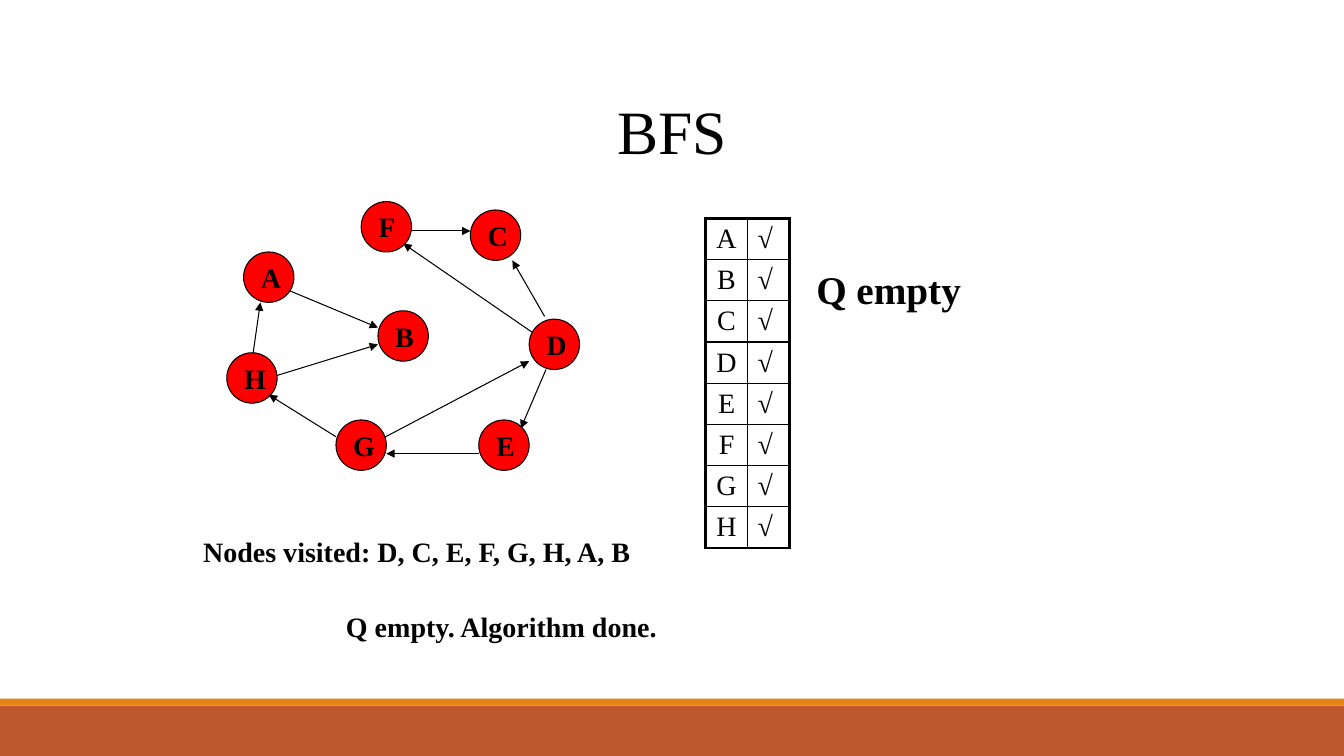
from lxml.etree import SubElement
from pptx import Presentation
from pptx.dml.color import RGBColor
from pptx.enum.shapes import MSO_CONNECTOR, MSO_SHAPE
from pptx.enum.text import MSO_ANCHOR, PP_ALIGN
from pptx.oxml import parse_xml
from pptx.oxml.ns import nsdecls, qn
from pptx.util import Pt


def color(hex_string):
    return RGBColor.from_string(hex_string)


def write(text_frame, text, size, bold=False, align=PP_ALIGN.LEFT):
    paragraph = text_frame.paragraphs[0]
    paragraph.alignment = align
    run = paragraph.add_run()
    run.text = text
    run.font.name = "Times New Roman"
    run.font.size = Pt(size)
    run.font.bold = bold
    run.font.color.rgb = color("000000")


presentation = Presentation()
presentation.slide_width = Pt(960)
presentation.slide_height = Pt(540)
slide = presentation.slides.add_slide(presentation.slide_layouts[6])
shapes = slide.shapes

# Footer bars
for top, height, fill in [(504, 36, "BD582C"), (499, 5, "E48312")]:
    bar = shapes.add_shape(MSO_SHAPE.RECTANGLE, Pt(0), Pt(top), Pt(960), Pt(height))
    bar.shadow.inherit = False
    bar.fill.solid()
    bar.fill.fore_color.rgb = color(fill)
    bar.line.fill.background()

# Graph edges: start x, start y, end x, end y
edges = [
    (384, 240, 288, 174),  # D to F
    (390, 264, 372, 306),  # D to E
    (192, 270, 270, 246),  # H to B
    (264, 318, 378, 258),  # G to D
    (180, 258, 186, 216),  # H to A
    (198, 204, 270, 234),  # A to B
    (389, 226, 366, 186),  # D to C
    (342, 324, 276, 324),  # E to G
    (240, 312, 192, 282),  # G to H
    (294, 165, 336, 165),  # F to C
]
for points in edges:
    edge = shapes.add_connector(MSO_CONNECTOR.STRAIGHT, *[Pt(value) for value in points])
    edge.line.color.rgb = color("000000")
    edge.line.width = Pt(0.75)
    SubElement(edge.line._get_or_add_ln(), qn("a:tailEnd"), type="triangle")
    SubElement(edge._element.spPr, qn("a:effectLst"))

# Graph nodes: left, top
nodes = {
    "A": (174, 180), "H": (162, 252), "B": (270, 222), "F": (258, 144),
    "E": (342, 300), "D": (378, 228), "C": (336, 150), "G": (240, 300),
}
for letter, (left, top) in nodes.items():
    node = shapes.add_shape(MSO_SHAPE.OVAL, Pt(left), Pt(top), Pt(36), Pt(36))
    node.shadow.inherit = False
    node.fill.solid()
    node.fill.fore_color.rgb = color("FF0000")
    node.line.color.rgb = color("000000")
    node.line.width = Pt(0.75)
    node.text_frame.word_wrap = False
    node.text_frame.vertical_anchor = MSO_ANCHOR.MIDDLE
    write(node.text_frame, letter, 20, bold=True)

# Title and captions
texts = [
    ("BFS", 174, 48, 612, 90, 44, False, PP_ALIGN.CENTER, MSO_ANCHOR.MIDDLE),
    ("Q empty. Algorithm done.", 240, 432, 558, 32, 20, True, PP_ALIGN.LEFT, MSO_ANCHOR.TOP),
    ("Q empty", 576, 186, 246, 41, 28, True, PP_ALIGN.LEFT, MSO_ANCHOR.TOP),
    ("Nodes visited: D, C, E, F, G, H, A, B", 138, 378, 354, 32, 20, True,
     PP_ALIGN.LEFT, MSO_ANCHOR.TOP),
]
for text, left, top, width, height, size, bold, align, anchor in texts:
    box = shapes.add_textbox(Pt(left), Pt(top), Pt(width), Pt(height))
    box.text_frame.word_wrap = True
    box.text_frame.vertical_anchor = anchor
    write(box.text_frame, text, size, bold, align)

# Table of visited nodes, with a thick outer frame
letters = "ABCDEFGH"
last_row = len(letters) - 1
table = shapes.add_table(len(letters), 2, Pt(504), Pt(156), Pt(60), Pt(235.6)).table
table.first_row = False
table.horz_banding = False
for column in table.columns:
    column.width = Pt(30)
for row_index, letter in enumerate(letters):
    table.rows[row_index].height = Pt(29.45)
    for column_index, text in enumerate([letter, "√"]):
        cell = table.cell(row_index, column_index)
        cell.vertical_anchor = MSO_ANCHOR.MIDDLE
        cell.margin_top = cell.margin_bottom = Pt(2.5)
        cell.fill.background()
        write(cell.text_frame, text, 20,
              align=PP_ALIGN.LEFT if column_index else PP_ALIGN.CENTER)
        outer_sides = {"L": column_index == 0, "R": column_index == 1,
                       "T": row_index == 0, "B": row_index == last_row}
        for position, (side, outer) in enumerate(outer_sides.items()):
            border = parse_xml(
                f'<a:ln{side} {nsdecls("a")} w="{Pt(2.25 if outer else 1)}">'
                '<a:solidFill><a:srgbClr val="000000"/></a:solidFill>'
                f'</a:ln{side}>')
            cell._tc.get_or_add_tcPr().insert(position, border)

presentation.save("out.pptx")
